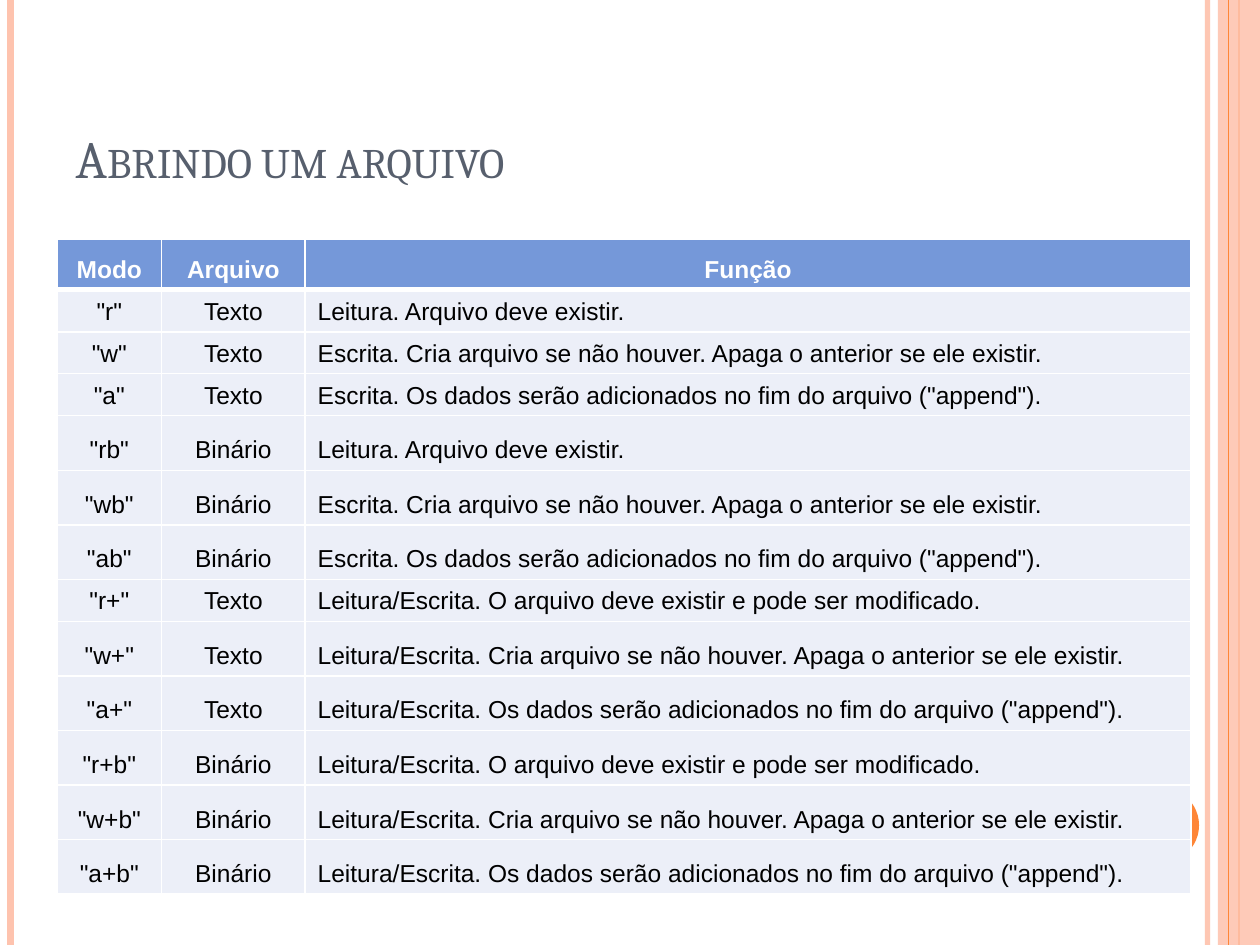
from typing import NamedTuple

from lxml.etree import SubElement
from pptx import Presentation
from pptx.dml.color import RGBColor
from pptx.enum.shapes import MSO_CONNECTOR as Conn, MSO_SHAPE as Form
from pptx.enum.text import MSO_ANCHOR as Anchor, PP_ALIGN as Align
from pptx.oxml import parse_xml
from pptx.oxml.ns import nsdecls, qn
from pptx.util import Pt

WHITE = RGBColor(0xFF, 0xFF, 0xFF)
BLACK = RGBColor(0, 0, 0)
PEACH = RGBColor(0xFE, 0xC3, 0xAE)
ORANGE = RGBColor(0xFE, 0x86, 0x37)
SLATE = RGBColor(0x57, 0x5F, 0x6D)
BLUE = RGBColor(0x75, 0x98, 0xD9)
PALE = RGBColor(0xEC, 0xEF, 0xF8)

WIDE, HIGH = 720, 540
SHORT, TALL = 24, 31.2


class Rule(NamedTuple):
    x: float
    width: float
    color: RGBColor
    alpha: int = 100


class Mode(NamedTuple):
    code: str
    kind: str
    use: str
    height: float


BACK = [Rule(690, 3, PEACH, 93), Rule(6, 4.5, PEACH), Rule(708, 1.5, ORANGE)]
FRONT = Rule(702, 0.75, ORANGE)

READ = "Leitura. Arquivo deve existir."
WRITE = "Escrita. Cria arquivo se não houver. Apaga o anterior se ele existir."
APPEND = 'Escrita. Os dados serão adicionados no fim do arquivo ("append").'
EDIT = "Leitura/Escrita. O arquivo deve existir e pode ser modificado."

HEAD = Mode("Modo", "Arquivo", "Função", 28.8)
MODES = [
    Mode('"r"', "Texto", READ, SHORT),
    Mode('"w"', "Texto", WRITE, SHORT),
    Mode('"a"', "Texto", APPEND, SHORT),
    Mode('"rb"', "Binário", READ, TALL),
    Mode('"wb"', "Binário", WRITE, TALL),
    Mode('"ab"', "Binário", APPEND, TALL),
    Mode('"r+"', "Texto", EDIT, SHORT),
    Mode('"w+"', "Texto", "Leitura/" + WRITE, TALL),
    Mode('"a+"', "Texto", "Leitura/" + APPEND, TALL),
    Mode('"r+b"', "Binário", EDIT, TALL),
    Mode('"w+b"', "Binário", "Leitura/" + WRITE, TALL),
    Mode('"a+b"', "Binário", "Leitura/" + APPEND, TALL),
]
COLS = [59.8, 82, 506.2]


def fade(part, alpha: int) -> None:
    """Set the opacity, in percent, of the solid colour inside part."""
    tint = next(part.iter(qn("a:srgbClr")))
    SubElement(tint, qn("a:alpha")).set("val", str(alpha * 1000))


def add_rule(slide, rule: Rule) -> None:
    line = slide.shapes.add_connector(
        Conn.STRAIGHT, Pt(rule.x), Pt(0), Pt(rule.x), Pt(HIGH))
    line.line.color.rgb = rule.color
    line.line.width = Pt(rule.width)
    if rule.alpha < 100:
        fade(line._element.spPr, rule.alpha)
    SubElement(line._element.spPr, qn("a:effectLst"))


def add_form(slide, form: Form, box: tuple, color: RGBColor):
    shape = slide.shapes.add_shape(form, *map(Pt, box))
    shape.shadow.inherit = False
    shape.fill.solid()
    shape.fill.fore_color.rgb = color
    shape.line.fill.background()
    return shape


def add_run(para, text: str, face: str, size: float, color: RGBColor):
    run = para.add_run()
    run.text = text
    run.font.name = face
    run.font.size = Pt(size)
    run.font.color.rgb = color
    return run


def set_edges(cell, top: float, low: float) -> None:
    """Draw white borders, 1 point wide at the sides."""
    props = cell._tc.get_or_add_tcPr()
    for i, (side, width) in enumerate(zip("LRTB", (1, 1, top, low))):
        props.insert(i, parse_xml(
            f'<a:ln{side} {nsdecls("a")} w="{Pt(width)}"><a:solidFill>'
            f'<a:srgbClr val="{WHITE}"/></a:solidFill></a:ln{side}>'))


def fill_row(table, index: int, mode: Mode) -> None:
    head = index == 0
    table.rows[index].height = Pt(mode.height)
    for col, text in enumerate(mode[:3]):
        cell = table.cell(index, col)
        cell.vertical_anchor = Anchor.BOTTOM
        cell.fill.solid()
        cell.fill.fore_color.rgb = BLUE if head else PALE
        set_edges(cell, 3 if index == 1 else 1, 3 if head else 1)
        para = cell.text_frame.paragraphs[0]
        para.alignment = Align.CENTER if head or col < 2 else Align.LEFT
        run = add_run(para, text, "Arial", 14, WHITE if head else BLACK)
        run.font.bold = head


def add_title(slide, text: str) -> None:
    title = slide.shapes.title
    title.left, title.top, title.width, title.height = map(
        Pt, (36, 21.6, 588, 90))
    frame = title.text_frame
    frame.word_wrap = True
    frame.vertical_anchor = Anchor.BOTTOM
    para = frame.paragraphs[0]
    para.alignment = Align.LEFT
    run = add_run(para, text, "Cambria", 30, SLATE)
    run.font._element.set("cap", "small")


def add_modes(slide) -> None:
    rows = [HEAD, *MODES]
    high = sum(row.height for row in rows)
    table = slide.shapes.add_table(
        len(rows), len(COLS), Pt(32.6), Pt(136.8), Pt(sum(COLS)),
        Pt(high)).table
    table.horz_banding = False
    for col, width in zip(table.columns, COLS):
        col.width = Pt(width)
    for index, mode in enumerate(rows):
        fill_row(table, index, mode)


def main() -> None:
    deck = Presentation()
    deck.slide_width, deck.slide_height = Pt(WIDE), Pt(HIGH)
    slide = deck.slides.add_slide(deck.slide_layouts[5])
    for rule in BACK:
        add_rule(slide, rule)
    band = add_form(slide, Form.RECTANGLE, (696, 0, 24, HIGH), PEACH)
    fade(band._element.spPr, 87)
    add_rule(slide, FRONT)
    add_form(slide, Form.OVAL, (642, 450, 43.2, 43.2), ORANGE)
    add_title(slide, "Abrindo um arquivo")
    add_modes(slide)
    deck.save("out.pptx")


if __name__ == "__main__":
    main()
